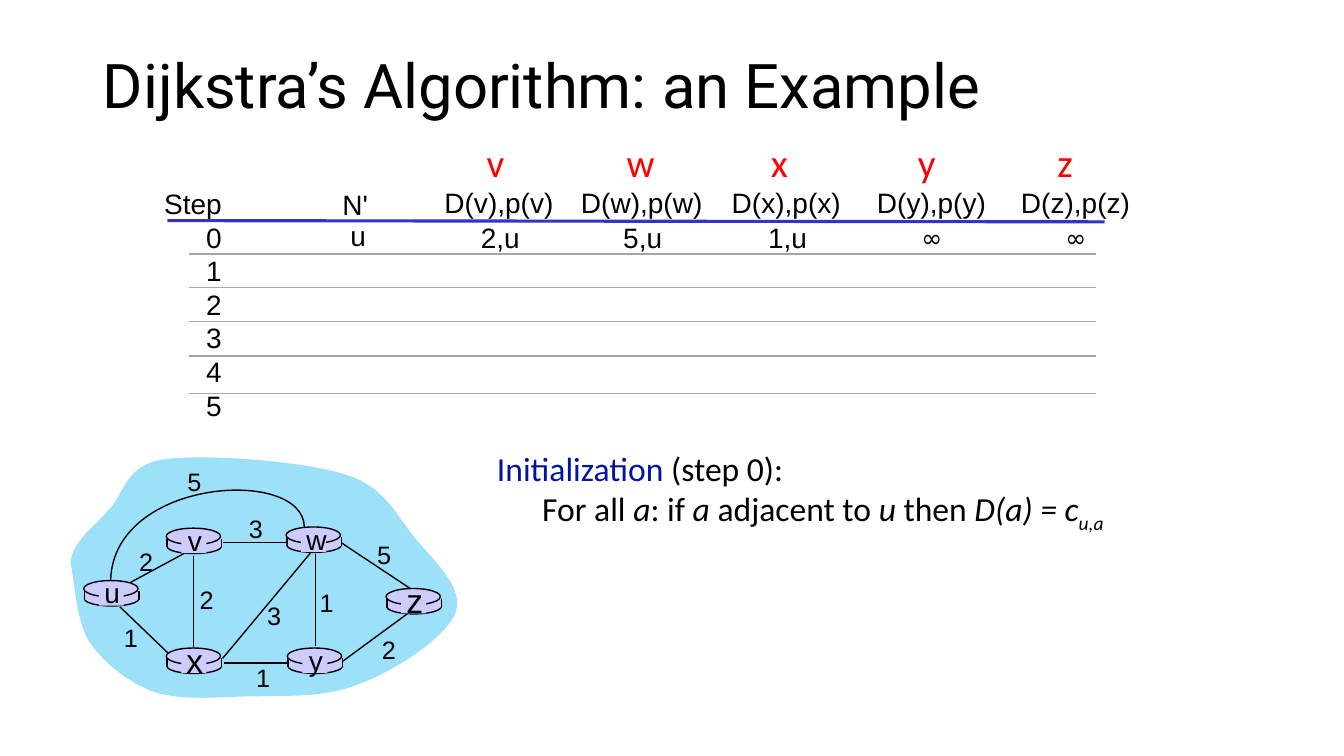
from lxml.etree import SubElement
from pptx import Presentation
from pptx.dml.color import RGBColor
from pptx.enum.shapes import MSO_CONNECTOR, MSO_SHAPE
from pptx.enum.text import MSO_ANCHOR, MSO_AUTO_SIZE, PP_ALIGN
from pptx.oxml.ns import qn
from pptx.util import Cm, Pt


class Theme:
    black = RGBColor(0, 0, 0)
    red = RGBColor(0xFF, 0, 0)
    navy = RGBColor(0, 0x13, 0xA3)
    blue = RGBColor(0x33, 0x33, 0xCC)
    gray = RGBColor(0xA6, 0xA6, 0xA6)
    sky = RGBColor(0x9C, 0xE0, 0xFA)
    lilac = RGBColor(0xCC, 0xCC, 0xFF)
    head, letter, body, cell, cost = 44, 28, 24, 20, 18
    sans, text, title, comic = "Arial", "Calibri", "Roboto", "Comic Neue"


def write(text, x, y, width, size, font=Theme.sans, color=Theme.black,
          align=PP_ALIGN.CENTER):
    """Place text centred on x, y (cm), in a box as tall as its lines."""
    rows = text.split("\n")
    height = 0.25 + len(rows) * size * 0.0423
    box = slide.shapes.add_textbox(Cm(x - width / 2), Cm(y - height / 2),
                                   Cm(width), Cm(height))
    frame = box.text_frame
    frame.text = text
    frame.word_wrap = False
    frame.auto_size = MSO_AUTO_SIZE.SHAPE_TO_FIT_TEXT
    for para in frame.paragraphs:
        para.alignment = align
        para.font.size = Pt(size)
        para.font.name = font
        para.font.color.rgb = color
        if len(rows) > 1:
            para.line_spacing = Pt(size * 1.2)


def rule(x1, y1, x2, y2, color=Theme.black, weight=1):
    link = slide.shapes.add_connector(MSO_CONNECTOR.STRAIGHT,
                                      Cm(x1), Cm(y1), Cm(x2), Cm(y2))
    link.line.color.rgb = color
    link.line.width = Pt(weight)
    SubElement(link._element.spPr, qn("a:effectLst"))


deck = Presentation()
deck.slide_width, deck.slide_height = Cm(33.87), Cm(19.05)
slide = deck.slides.add_slide(deck.slide_layouts[1])
title, body = slide.placeholders

# Title
title.left, title.top, title.width, title.height = Cm(2.34), Cm(0.99), Cm(31.06), Cm(2.49)
title.text_frame.text = "Dijkstra’s Algorithm: an Example"
title.text_frame.vertical_anchor = MSO_ANCHOR.MIDDLE
title.text_frame.auto_size = MSO_AUTO_SIZE.NONE
para = title.text_frame.paragraphs[0]
para.alignment = PP_ALIGN.LEFT
para.line_spacing = 0.9
para.font.size = Pt(Theme.head)
para.font.name = Theme.title
para.font.color.rgb = Theme.black

# Table of steps: name, its centre and width, centre and width of the head, cost
right = PP_ALIGN.RIGHT
write("Step\n0\n1\n2\n3\n4\n5", 4.86, 7.66, 1.96, Theme.cell, align=right)
write("N'", 8.94, 5.16, 1.17, Theme.cell, align=right)
write("u", 9.02, 5.94, 0.91, Theme.cell, align=right)
columns = [("v", 12.5, 0.97, 12.56, 3.28, "2,u"), ("w", 16.15, 1.22, 16.15, 3.61, "5,u"),
           ("x", 19.65, 0.94, 19.8, 3.28, "1,u"), ("y", 23.37, 0.97, 23.46, 3.28, "∞"),
           ("z", 26.85, 0.91, 27.09, 3.28, "∞")]
for name, place, span, mid, width, cost in columns:
    write(name, place, 4.09, span, Theme.letter, Theme.text, Theme.red, PP_ALIGN.LEFT)
    write(f"D({name}),p({name})", mid, 5.09, width, Theme.cell, align=right)
    if cost == "∞":
        write(cost, mid + 0.02, 5.99, 1.04, Theme.cost, Theme.comic, align=right)
    else:
        write(cost, mid + 0.04, 5.98, 1.5, Theme.cell, align=right)
rule(4.22, 5.56, 27.84, 5.59, Theme.blue, 2.25)
for y in (6.4, 7.24, 8.1, 8.97, 9.91):
    rule(4.77, y, 27.63, y, Theme.gray)

# Cloud behind the graph, and the long arc from w to u
cloud = [(1.78, 14.2),
         (1.8, 13.67), (2.36, 13.28), (2.74, 12.85),
         (3.15, 12.42), (3.15, 11.73), (4.11, 11.58),
         (5.11, 11.43), (7.57, 11.61), (8.64, 11.94),
         (9.68, 12.22), (9.98, 12.98), (10.46, 13.56),
         (10.95, 14.15), (11.71, 14.81), (11.48, 15.44),
         (11.25, 16.05), (9.98, 16.89), (9.09, 17.22),
         (8.23, 17.58), (7.37, 17.53), (6.17, 17.55),
         (5.28, 17.58), (4.5, 17.65), (3.84, 17.42),
         (3.2, 17.17), (2.59, 16.69), (2.24, 16.15),
         (1.91, 15.62), (1.88, 14.61), (1.78, 14.2)]
arc = [(7.67, 13.28), (7.65, 11.76), (2.87, 12.04), (2.79, 14.61)]
for knots, closed in ((cloud, True), (arc, False)):
    start, *rest = [(Cm(x), Cm(y)) for x, y in knots]
    pen = slide.shapes.build_freeform(*start)
    pen.add_line_segments(rest, close=closed)
    curve = pen.convert_to_shape()
    # Each three straight segments become one Bezier segment
    legs = list(curve._element.iter(qn("a:lnTo")))
    for k in range(0, len(legs), 3):
        bend = legs[k].makeelement(qn("a:cubicBezTo"))
        legs[k].addprevious(bend)
        for leg in legs[k:k + 3]:
            bend.append(leg[0])
            leg.getparent().remove(leg)
    curve.shadow.inherit = False
    if closed:
        curve.fill.solid()
        curve.fill.fore_color.rgb = Theme.sky
        curve.line.fill.background()
    else:
        curve.fill.background()
        curve.line.color.rgb = Theme.black
        curve.line.width = Pt(1)

# Edges: ends, cost, centre of the cost
edges = [((3.28, 14.68, 4.78, 13.87), "2", 3.68, 14.15),
         ((7.95, 13.97, 7.95, 16.28), "1", 8.23, 15.19),
         ((4.88, 14.0, 4.88, 16.38), "2", 5.21, 15.11),
         ((5.61, 16.59, 7.82, 13.94), "3", 6.91, 15.52),
         ((8.64, 16.66, 10.26, 15.47), "2", 9.8, 16.36),
         ((5.64, 16.71, 7.26, 16.71), "1", 6.63, 17.07),
         ((3.02, 15.29, 4.24, 16.46), "1", 3.3, 16.05),
         ((5.61, 13.67, 7.24, 13.67), "3", 6.45, 13.31),
         ((8.59, 13.67, 10.34, 14.83), "5", 9.68, 13.97)]
for ends, cost, x, y in edges:
    rule(*ends)
    write(cost, x, y, 0.86, Theme.cost)
write("5", 4.9, 12.14, 0.86, Theme.cost)

# Routers: base, wall, lid and a plate under the name
oval, block = MSO_SHAPE.OVAL, MSO_SHAPE.RECTANGLE
layers = [(oval, 0.02, 0.28, 1.37, 0.36), (block, 0.02, 0.26, 1.37, 0.22),
          (oval, 0, 0, 1.37, 0.41), (block, 0.38, 0.05, 0.63, 0.58)]
nodes = [("u", 2.11, 14.63, Theme.cell), ("x", 4.19, 16.33, Theme.body),
         ("v", 4.19, 13.31, Theme.cell), ("w", 7.21, 13.28, Theme.cell),
         ("y", 7.24, 16.33, Theme.cell), ("z", 9.73, 14.83, Theme.body)]
for name, x, y, size in nodes:
    for kind, dx, dy, width, height in layers:
        part = slide.shapes.add_shape(kind, Cm(x + dx), Cm(y + dy), Cm(width), Cm(height))
        part.shadow.inherit = False
        part.fill.solid()
        part.fill.fore_color.rgb = Theme.lilac
        if kind == oval:
            part.line.color.rgb = Theme.black
            part.line.width = Pt(1)
        else:
            part.line.fill.background()
    for side in (x + 0.02, x + 1.39):
        rule(side, y + 0.26, side, y + 0.48)
    write(name, x + 0.72, y + 0.3, 0.92, size)

# Rule for step 0
body.left, body.top, body.width, body.height = Cm(12.27), Cm(11.28), Cm(17.12), Cm(2.11)
frame = body.text_frame
frame.auto_size = MSO_AUTO_SIZE.NONE
lines = [(0, [("Initialization", "navy"), (" (step 0):", "")]),
         (1.14, [("For all ", ""), ("a", "italic"), (": if ", ""), ("a", "italic"),
                 (" adjacent to ", ""), ("u", "italic"), (" then ", ""),
                 ("D(a) = c", "italic"), ("u,a", "italic sub")])]
for i, (indent, runs) in enumerate(lines):
    para = frame.add_paragraph() if i else frame.paragraphs[0]
    para.line_spacing = 0.9
    para.space_before = Pt(0)
    para.font.size = Pt(Theme.body)
    para.font.name = Theme.text
    para.font.color.rgb = Theme.black
    props = para._p.get_or_add_pPr()
    props.set("marL", str(Cm(indent)))
    props.set("indent", "0")
    props.find(qn("a:defRPr")).addprevious(props.makeelement(qn("a:buNone")))
    for text, style in runs:
        run = para.add_run()
        run.text = text
        if "italic" in style:
            run.font.italic = True
        if "navy" in style:
            run.font.color.rgb = Theme.navy
        if "sub" in style:
            run._r.get_or_add_rPr().set("baseline", "-25000")

deck.save("out.pptx")
